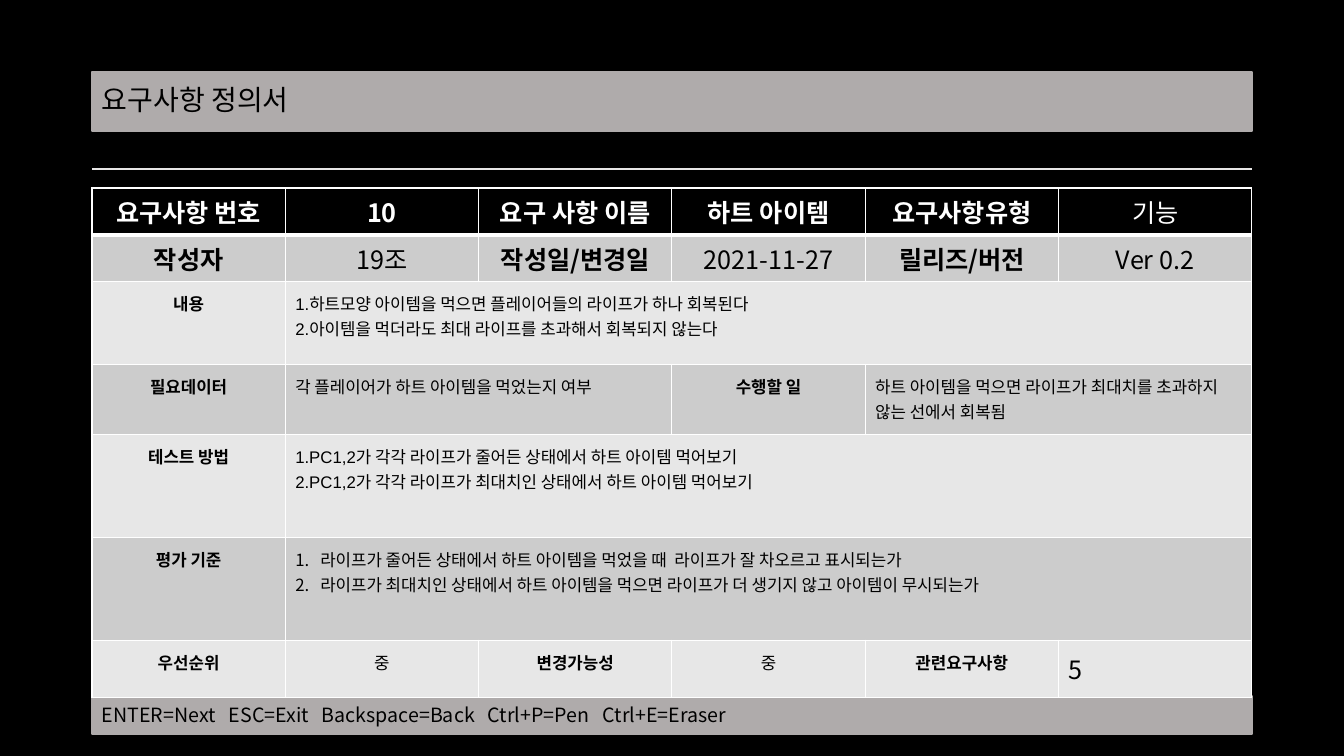
from lxml.etree import SubElement
from pptx import Presentation
from pptx.dml.color import RGBColor
from pptx.enum.shapes import MSO_CONNECTOR as CONN, MSO_SHAPE as SHAPE
from pptx.enum.text import MSO_ANCHOR as ANCHOR, PP_ALIGN as ALIGN
from pptx.oxml.ns import qn
from pptx.util import Emu, Pt

SANS = "Noto Sans CJK KR"
LEFT, WIDTH = 92, 1160
ROW_HEIGHTS = [47, 46, 83, 70, 103, 103, 57]
FOOTER = "ENTER=Next\tESC=Exit\tBackspace=Back\tCtrl+P=Pen\tCtrl+E=Eraser"
FOOTER_TABS = [127, 220, 386, 501]

ROWS = [
    [("요구사항 번호", "label"), ("10", "label"), ("요구 사항 이름", "label"),
     ("하트 아이템", "label"), ("요구사항유형", "label"), ("기능", "value")],
    [("작성자", "label"), ("19조", "value"), ("작성일/변경일", "label"),
     ("2021-11-27", "value"), ("릴리즈/버전", "label"), ("Ver 0.2", "value")],
    [("내용", "label"),
     ("1.하트모양 아이템을 먹으면 플레이어들의 라이프가 하나 회복된다\n"
      "2.아이템을 먹더라도 최대 라이프를 초과해서 회복되지 않는다", "note", 5)],
    [("필요데이터", "label"),
     ("각 플레이어가 하트 아이템을 먹었는지 여부", "note", 2),
     ("수행할 일", "label"),
     ("하트 아이템을 먹으면 라이프가 최대치를 초과하지 않는 선에서 회복됨", "sans", 2)],
    [("테스트 방법", "label"),
     ("1.PC1,2가 각각 라이프가 줄어든 상태에서 하트 아이템 먹어보기\n"
      "2.PC1,2가 각각 라이프가 최대치인 상태에서 하트 아이템 먹어보기", "note", 5)],
    [("평가 기준", "label"),
     ("라이프가 줄어든 상태에서 하트 아이템을 먹었을 때  라이프가 잘 차오르고 표시되는가\n"
      "라이프가 최대치인 상태에서 하트 아이템을 먹으면 라이프가 더 생기지 않고 "
      "아이템이 무시되는가", "steps", 5)],
    [("우선순위", "label"), ("중", "value"), ("변경가능성", "label"),
     ("중", "value"), ("관련요구사항", "label"), ("5", "large")],
]


def px(n):
    return Emu(round(n * 12192000 / 1344))


def rgb(code):
    return RGBColor.from_string(code)


def style_runs(p, size, color="000000", font=SANS, bold=False):
    for r in p.runs:
        r.font.size = Pt(size)
        r.font.bold = bold
        r.font.color.rgb = rgb(color)
        r.font.name = font
        SubElement(r.font._element, qn("a:ea"), typeface=SANS)


def add_bar(slide, top, height, text, size):
    sp = slide.shapes.add_shape(SHAPE.RECTANGLE, px(LEFT), px(top), px(WIDTH), px(height))
    sp.shadow.inherit = False
    sp.fill.solid()
    sp.fill.fore_color.rgb = rgb("AFABAB")
    sp.line.color.rgb = rgb("AFABAB")
    sp.line.width = Pt(1.5)
    tf = sp.text_frame
    tf.word_wrap = True
    tf.vertical_anchor = ANCHOR.MIDDLE
    p = tf.paragraphs[0]
    p.text = text
    p.alignment = ALIGN.LEFT
    style_runs(p, size)
    return p


def add_tabs(p, stops):
    tabs = SubElement(p._p.get_or_add_pPr(), qn("a:tabLst"))
    for stop in stops:
        SubElement(tabs, qn("a:tab"), pos=str(px(stop)), algn="l")


def add_rule(slide, y):
    line = slide.shapes.add_connector(CONN.STRAIGHT, px(LEFT), px(y), px(LEFT + WIDTH), px(y))
    line.line.color.rgb = rgb("E7E6E6")
    line.line.width = Pt(1.5)
    SubElement(line._element.spPr, qn("a:effectLst"))


def number_paragraph(p):
    pPr = p._p.get_or_add_pPr()
    pPr.set("marL", str(px(25)))
    pPr.set("indent", str(-px(25)))
    SubElement(pPr, qn("a:buFont"), typeface="Arial")
    SubElement(pPr, qn("a:buAutoNum"), type="arabicPeriod")


def paint_cell(cell, row):
    tcPr = cell._tc.get_or_add_tcPr()
    for side in "LRTB":
        thick = (row, side) in [(0, "B"), (1, "T")]
        ln = SubElement(tcPr, qn("a:ln" + side), w=str(Pt(3 if thick else 1)))
        SubElement(SubElement(ln, qn("a:solidFill")), qn("a:srgbClr"), val="FFFFFF")
    cell.fill.solid()
    cell.fill.fore_color.rgb = rgb("000000" if row == 0 else "CCCCCC" if row % 2 else "E7E7E7")


def fill_cell(cell, row, text, kind):
    heading = row < 2
    cell.margin_left = cell.margin_right = px(10)
    cell.margin_top = cell.margin_bottom = px(5 if heading else 10)
    cell.text_frame.text = text
    large = heading or kind == "large"
    font = SANS if large or kind == "sans" else "Arial"
    for p in cell.text_frame.paragraphs:
        p.alignment = ALIGN.CENTER if kind in ("label", "value") else ALIGN.LEFT
        if kind == "steps":
            number_paragraph(p)
        style_runs(p, 18 if large else 12, "FFFFFF" if row == 0 else "000000",
                   font, kind == "label")


def add_requirements(slide, top):
    frame = slide.shapes.add_table(len(ROWS), 6, px(LEFT), px(top), px(WIDTH),
                                   px(sum(ROW_HEIGHTS)))
    table = frame.table
    table.first_row = table.horz_banding = False
    for i, (entries, height) in enumerate(zip(ROWS, ROW_HEIGHTS)):
        table.rows[i].height = px(height)
        for cell in table.rows[i].cells:
            paint_cell(cell, i)
        col = 0
        for text, kind, *span in entries:
            cols = span[0] if span else 1
            cell = table.cell(i, col)
            if cols > 1:
                cell.merge(table.cell(i, col + cols - 1))
            fill_cell(cell, i, text, kind)
            col += cols


def main():
    prs = Presentation()
    prs.slide_width, prs.slide_height = px(1344), px(756)
    slide = prs.slides.add_slide(prs.slide_layouts[6])
    slide.background.fill.solid()
    slide.background.fill.fore_color.rgb = rgb("000000")
    add_rule(slide, 169)
    add_tabs(add_bar(slide, 696, 38, FOOTER, 14), FOOTER_TABS)
    add_bar(slide, 72, 59, "요구사항 정의서", 20).line_spacing = 0.9
    add_requirements(slide, 188)
    prs.save("out.pptx")


if __name__ == "__main__":
    main()
